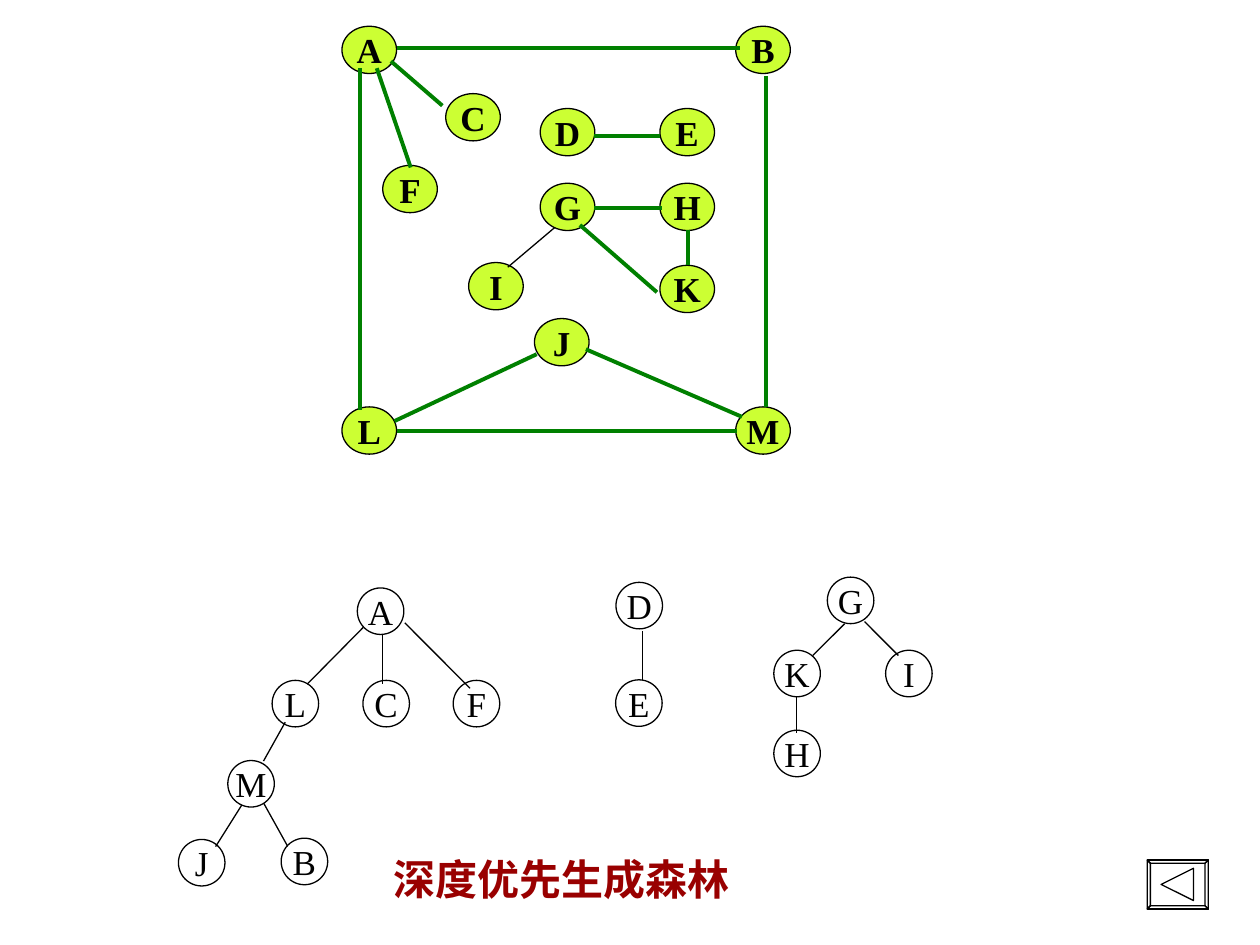
from lxml import etree
from pptx import Presentation
from pptx import util as u
from pptx.dml.color import RGBColor
from pptx.enum import shapes, text
from pptx.oxml import ns

BLACK = RGBColor(0x00, 0x00, 0x00)
LIME = RGBColor(0xCC, 0xFF, 0x33)
GREEN = RGBColor(0x00, 0x80, 0x00)
DARK_RED = RGBColor(0x99, 0x00, 0x00)
FONT = "Times New Roman"
THIN, THICK = 0.75, 2.25
NODE_SIZE = (31.2, 27)
CIRCLE_SIZE = (26.6, 26.6)

GRAPH_NODES = {
    "A": (195.4, 15), "B": (420.4, 15), "L": (195.4, 232.5), "M": (420.4, 232.5),
    "C": (254.7, 53.5), "F": (218.7, 94.5), "D": (308.7, 62), "E": (377.1, 62),
    "G": (308.7, 104.7), "H": (377.1, 104.7), "K": (377.1, 151.6),
    "I": (267.8, 150), "J": (305.4, 182),
}
GRAPH_EDGES = [
    (393.2, 131.5, 393.2, 151.5), (339.4, 77.5, 377.2, 77.5),
    (339.4, 118.7, 378.5, 118.7), (331.4, 128.6, 375.4, 167),
    (223.4, 35, 252.8, 60.4), (215.3, 39, 234.7, 95.7),
    (226.8, 27.5, 423, 27.5), (205.5, 39, 205.5, 234),
    (226.8, 246.4, 421, 246.4), (437.6, 43.4, 437.6, 232.5),
    (225.5, 240.6, 306.7, 202.4), (334.8, 199.6, 424, 238.2),
]
UNVISITED_EDGE = (317, 130, 290.2, 152.7)

FOREST = [
    (
        {"A": (204.2, 336), "B": (160.7, 479), "L": (155.5, 388.8),
         "M": (130.2, 434.6), "C": (207.4, 388.8), "F": (259, 388.8),
         "J": (102, 479.7)},
        [(218.7, 362.8, 218.7, 391), (207.5, 358.6, 175.5, 391),
         (231.3, 355.9, 268.6, 393.3), (163, 412.7, 150.6, 434.9),
         (138.2, 460, 123.2, 483.8), (150.7, 459, 164.4, 483.6)],
    ),
    (
        {"D": (352, 332.8), "E": (351.8, 388.5)},
        [(367.2, 360.8, 367.2, 388.5)],
    ),
    (
        {"G": (472.8, 329.8), "H": (442.2, 417.3), "K": (442.2, 371.6),
         "I": (506.1, 371.6)},
        [(482.7, 356.4, 464.4, 374.6), (455, 398, 455, 419),
         (494, 355.2, 513.4, 374.6)],
    ),
]


def write(box, words, size, color, bold):
    frame = box.text_frame
    frame.word_wrap = False
    frame.vertical_anchor = text.MSO_ANCHOR.MIDDLE
    paragraph = frame.paragraphs[0]
    paragraph.text = words
    paragraph.alignment = text.PP_ALIGN.CENTER
    paragraph.font.name = FONT
    paragraph.font.size = u.Pt(size)
    paragraph.font.bold = bold
    paragraph.font.color.rgb = color


def outline(shape, width=THIN, color=BLACK):
    shape.line.color.rgb = color
    shape.line.width = u.Pt(width)


def add_node(group, letter, corner, size, fill, bold):
    node = group.shapes.add_shape(
        shapes.MSO_SHAPE.OVAL, *map(u.Pt, corner + size))
    node.shadow.inherit = False
    if fill is None:
        node.fill.background()
    else:
        node.fill.solid()
        node.fill.fore_color.rgb = fill
    outline(node)
    write(node, letter, 20, BLACK, bold)


def add_edge(group, ends, width=THIN, color=BLACK):
    edge = group.shapes.add_connector(
        shapes.MSO_CONNECTOR.STRAIGHT, *map(u.Pt, ends))
    outline(edge, width, color)
    etree.SubElement(edge._element.spPr, ns.qn("a:effectLst"))


def add_graph(slide):
    graph = slide.shapes.add_group_shape()
    for letter, corner in GRAPH_NODES.items():
        add_node(graph, letter, corner, NODE_SIZE, LIME, True)
    add_edge(graph, UNVISITED_EDGE)
    for ends in GRAPH_EDGES:
        add_edge(graph, ends, THICK, GREEN)


def add_tree(slide, nodes, edges):
    tree = slide.shapes.add_group_shape()
    for letter, corner in nodes.items():
        add_node(tree, letter, corner, CIRCLE_SIZE, None, False)
    for ends in edges:
        add_edge(tree, ends)


def add_caption(slide):
    caption = slide.shapes.add_textbox(
        u.Pt(216), u.Pt(484), u.Pt(210), u.Pt(36))
    write(caption, "深度优先生成森林", 24, DARK_RED, True)
    caption.text_frame.auto_size = text.MSO_AUTO_SIZE.SHAPE_TO_FIT_TEXT


def add_back_button(slide):
    left, top, right, bottom, bevel = 655.6, 491.5, 690.4, 519.4, 1.8
    outer = [(left, top), (right, top), (right, bottom), (left, bottom)]
    inner = [(left + bevel, top + bevel), (right - bevel, top + bevel),
             (right - bevel, bottom - bevel), (left + bevel, bottom - bevel)]
    sides = [[outer[i - 1], outer[i], inner[i], inner[i - 1]] for i in range(4)]
    arrow = [(663.5, 505.4), (682, 496.2), (682, 514.6)]

    units = 100
    builder = slide.shapes.build_freeform(scale=u.Pt(1) / units)
    for contour in [outer, *sides, arrow]:
        points = [(x * units, y * units) for x, y in contour]
        builder.move_to(*points[0])
        builder.add_line_segments(points[1:], close=True)
    button = builder.convert_to_shape()
    button.shadow.inherit = False
    button.fill.background()
    outline(button)


def main():
    deck = Presentation()
    deck.slide_width, deck.slide_height = u.Pt(720), u.Pt(540)
    slide = deck.slides.add_slide(deck.slide_layouts[6])
    add_graph(slide)
    for nodes, edges in FOREST:
        add_tree(slide, nodes, edges)
    add_caption(slide)
    add_back_button(slide)
    deck.save("out.pptx")


if __name__ == "__main__":
    main()
